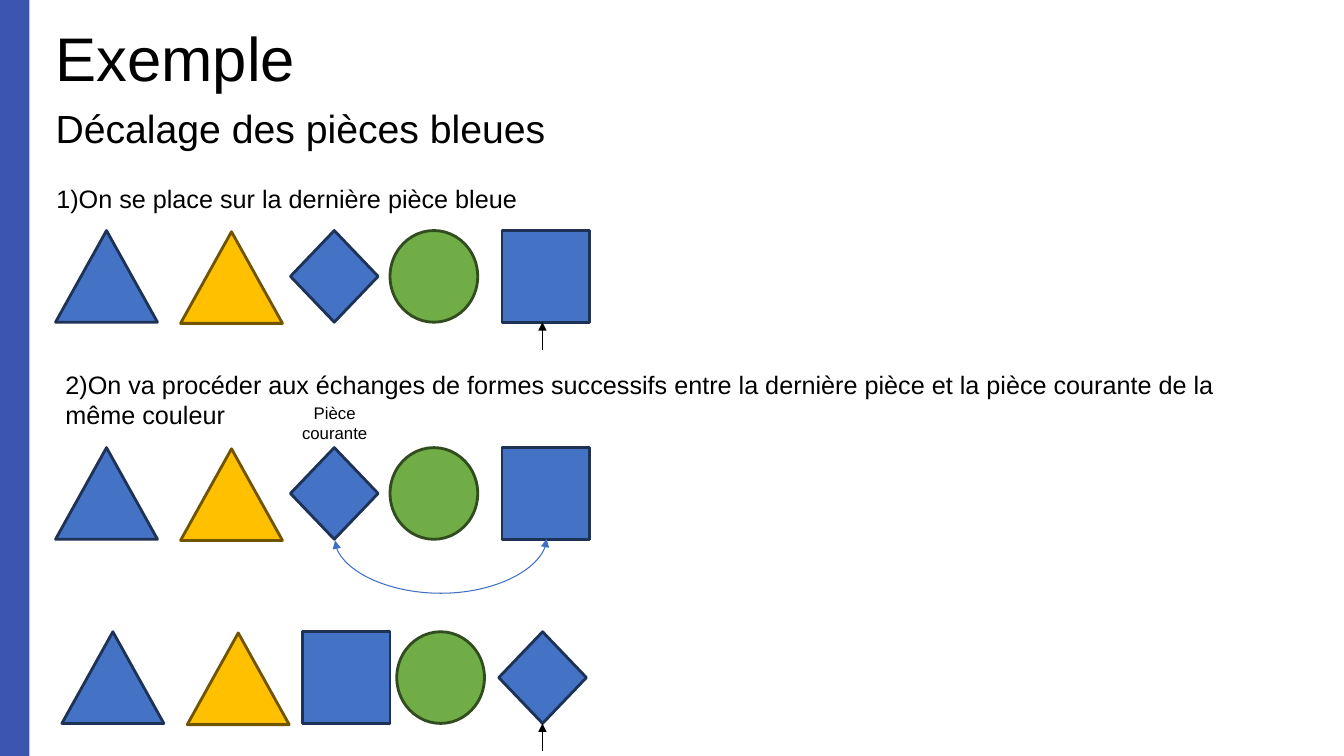
from dataclasses import dataclass

from lxml import etree
from pptx import Presentation
from pptx.dml.color import RGBColor
from pptx.enum.shapes import MSO_CONNECTOR, MSO_SHAPE
from pptx.enum.text import MSO_ANCHOR, MSO_AUTO_SIZE, PP_ALIGN
from pptx.oxml.ns import qn
from pptx.util import Cm, Pt

TRIANGLE = MSO_SHAPE.ISOSCELES_TRIANGLE
DIAMOND = MSO_SHAPE.DIAMOND
SQUARE = MSO_SHAPE.RECTANGLE
CIRCLE = MSO_SHAPE.OVAL
STRAIGHT = MSO_CONNECTOR.STRAIGHT
CURVE = MSO_CONNECTOR.CURVE
LEFT, CENTER = PP_ALIGN.LEFT, PP_ALIGN.CENTER
TOP, MIDDLE = MSO_ANCHOR.TOP, MSO_ANCHOR.MIDDLE


@dataclass(frozen=True)
class Theme:
    font: str = "Arial"
    title: int = 44
    subtitle: int = 28
    body: int = 18
    label: int = 12
    text: str = "000000"
    bar: str = "3C56AF"
    swap: str = "3F6FC3"
    blue: tuple = ("4472C4", "1E3256")
    green: tuple = ("70AD47", "314C1F")
    yellow: tuple = ("FFC000", "705400")


THEME = Theme()


def write(box, lines, size, align=LEFT, anchor=TOP, heading=False):
    frame = box.text_frame
    frame.word_wrap = True
    frame.auto_size = MSO_AUTO_SIZE.NONE
    frame.vertical_anchor = anchor
    if heading:
        frame.margin_left = frame.margin_right = 0
        frame.margin_top = frame.margin_bottom = 0
    frame.text = "\n".join(lines)
    for para in frame.paragraphs:
        para.alignment = align
        if heading:
            para.line_spacing = 0.9
        para.font.name = THEME.font
        para.font.size = Pt(size)
        para.font.color.rgb = RGBColor.from_string(THEME.text)


def style_arrow(arrow, color, ends):
    arrow.line.color.rgb = RGBColor.from_string(color)
    arrow.line.width = Pt(0.75)
    line = arrow.line._get_or_add_ln()
    for end in ends:
        etree.SubElement(line, qn(f"a:{end}"), type="triangle")
    etree.SubElement(arrow._element.spPr, qn("a:effectLst"))


deck = Presentation()
deck.slide_width, deck.slide_height = Cm(33.87), Cm(19.05)
page = deck.slides.add_slide(deck.slide_layouts[5])

bar = page.shapes.add_shape(SQUARE, 0, 0, Cm(0.74), deck.slide_height)
bar.shadow.inherit = False
bar.fill.solid()
bar.fill.fore_color.rgb = RGBColor.from_string(THEME.bar)
bar.line.fill.background()

title = page.shapes.title
title.left, title.top, title.width, title.height = Cm(1.4), Cm(1.07), Cm(20), Cm(0.96)
write(title, ["Exemple"], THEME.title, anchor=MIDDLE, heading=True)

subtitle = page.shapes.add_textbox(Cm(1.4), Cm(2.03), Cm(17.4), Cm(2.54))
write(subtitle, ["Décalage des pièces bleues"], THEME.subtitle, anchor=MIDDLE, heading=True)

# Rows of pieces: top, then (shape, colours, left) for each piece
PIECE_HEIGHT = 2.31
WIDTHS = {TRIANGLE: 2.57, DIAMOND: 2.21, SQUARE: 2.21, CIRCLE: 2.21}
before_swap = [
    (TRIANGLE, THEME.blue, 1.4),
    (TRIANGLE, THEME.yellow, 4.55),
    (DIAMOND, THEME.blue, 7.32),
    (CIRCLE, THEME.green, 9.83),
    (SQUARE, THEME.blue, 12.65),
]
after_swap = [
    (TRIANGLE, THEME.blue, 1.56),
    (TRIANGLE, THEME.yellow, 4.72),
    (SQUARE, THEME.blue, 7.62),
    (CIRCLE, THEME.green, 10),
    (DIAMOND, THEME.blue, 12.57),
]
rows = [(5.81, before_swap), (11.28, before_swap), (15.92, after_swap)]
for top, pieces in rows:
    row = page.shapes.add_group_shape()
    for shape, (fill, outline), left in pieces:
        drop = 0.03 if fill == THEME.yellow[0] else 0
        piece = row.shapes.add_shape(
            shape, Cm(left), Cm(top + drop), Cm(WIDTHS[shape]), Cm(PIECE_HEIGHT))
        piece.shadow.inherit = False
        piece.fill.solid()
        piece.fill.fore_color.rgb = RGBColor.from_string(fill)
        piece.line.color.rgb = RGBColor.from_string(outline)
        piece.line.width = Pt(2)

# Pointers to the last blue piece
for top in (rows[0][0], rows[2][0]):
    bottom = top + PIECE_HEIGHT
    pointer = page.shapes.add_connector(
        STRAIGHT, Cm(13.67), Cm(bottom + 0.69), Cm(13.67), Cm(bottom))
    style_arrow(pointer, THEME.text, ["tailEnd"])

# The swap arc is a quarter-turned curve: its thin width times the adjustment is its depth
arc_x, arc_y = 11.11, 13.6
arc_depth, arc_width, arc_span = 1.37, 0.04, 5.33
arc = page.shapes.add_connector(
    CURVE,
    Cm(arc_x - arc_width / 2), Cm(arc_y - arc_span / 2),
    Cm(arc_x + arc_width / 2), Cm(arc_y + arc_span / 2))
arc._element.spPr.find(qn("a:xfrm")).set("rot", str(90 * 60000))
guides = arc._element.spPr.find(qn("a:prstGeom")).get_or_add_avLst()
etree.SubElement(guides, qn("a:gd"), name="adj1",
                 fmla=f"val {round(arc_depth / arc_width * 100000)}")
style_arrow(arc, THEME.swap, ["headEnd", "tailEnd"])

texts = [
    (1.17, 4.5, 15.75, 1.02, THEME.body, LEFT,
     ["1)On se place sur la dernière pièce bleue"]),
    (1.4, 9.17, 29.95, 1.8, THEME.body, LEFT,
     ["2)On va procéder aux échanges de formes successifs entre la dernière pièce "
      "et la pièce courante de la même couleur"]),
    (6.58, 10.03, 3.71, 1.27, THEME.label, CENTER, ["Pièce", "courante"]),
]
for left, top, width, height, size, align, lines in texts:
    box = page.shapes.add_textbox(Cm(left), Cm(top), Cm(width), Cm(height))
    write(box, lines, size, align)

deck.save("out.pptx")
